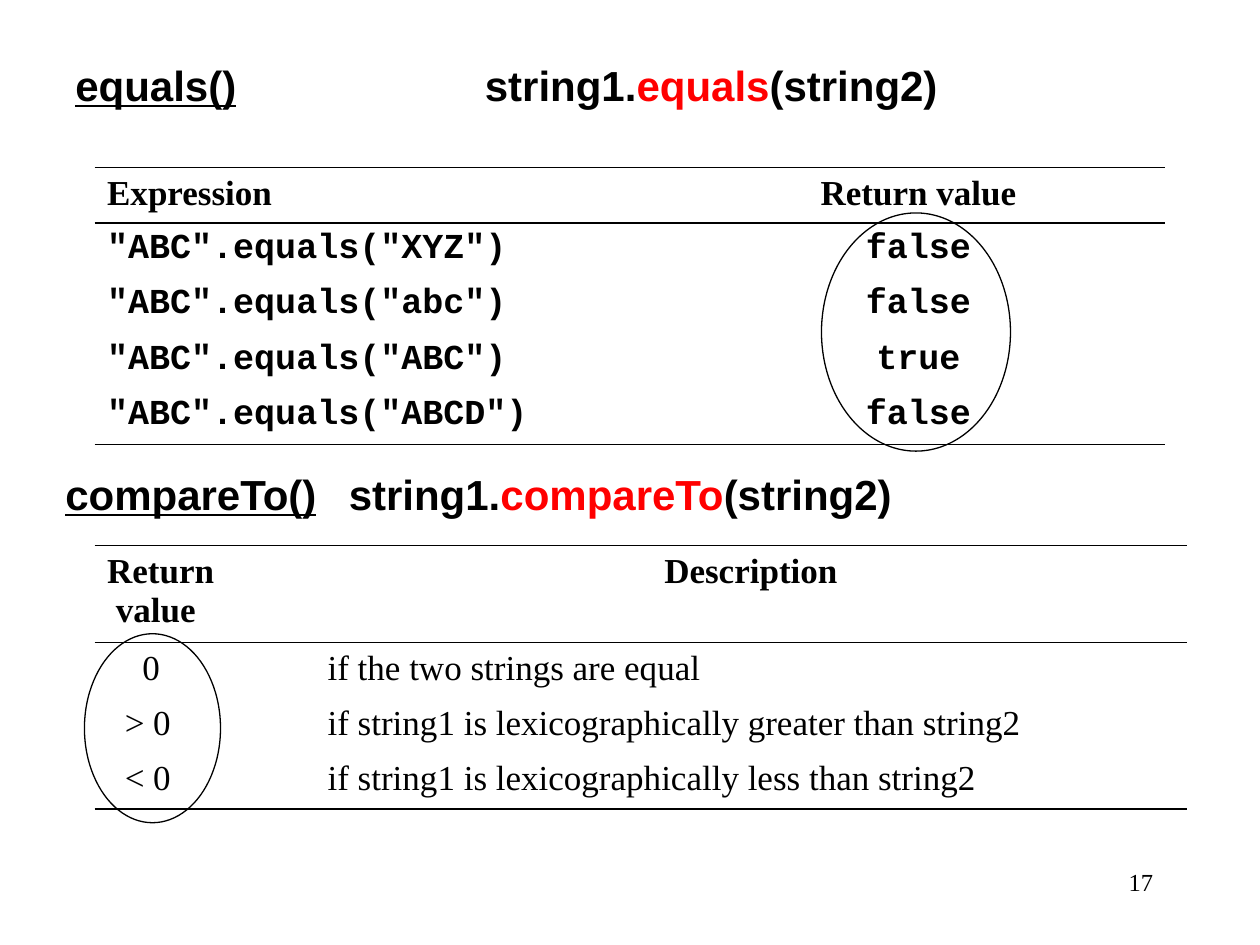
from lxml import etree
from pptx import Presentation
from pptx.dml.color import RGBColor
from pptx.enum.shapes import MSO_SHAPE
from pptx.enum.text import PP_ALIGN
from pptx.oxml.ns import qn
from pptx.util import Inches, Pt

LEFT, CENTER, RIGHT = PP_ALIGN.LEFT, PP_ALIGN.CENTER, PP_ALIGN.RIGHT
OVAL = MSO_SHAPE.OVAL
COLORS = {"ink": "000000", "method": "FF0000"}
SERIF, SANS, MONO = "Times New Roman", "Arial", "Courier New"
ROW_HEIGHT = 0.44


def color(name):
    return RGBColor.from_string(COLORS[name])


def add_span(para, text, font=SERIF, size=20, bold=False, underline=False, ink="ink"):
    span = para.add_run()
    span.text = text
    span.font.name = font
    span.font.size = Pt(size)
    span.font.bold = bold
    span.font.underline = underline
    span.font.color.rgb = color(ink)


def add_box(page, left, top, width, height):
    """Add a wrapping text box and return its first paragraph."""
    box = page.shapes.add_textbox(Inches(left), Inches(top), Inches(width), Inches(height))
    box.text_frame.word_wrap = True
    return box.text_frame.paragraphs[0]


def add_heading(page, left, top, method, tab):
    """Add a method name and, at the tab stop, an example of its call."""
    para = add_box(page, left, top, 9, 0.5)
    stops = etree.SubElement(para._p.get_or_add_pPr(), qn("a:tabLst"))
    etree.SubElement(stops, qn("a:tab"), pos=str(Inches(tab)), algn="l")
    style = {"font": SANS, "size": 24, "bold": True}
    add_span(para, f"{method}()", underline=True, **style)
    add_span(para, "\tstring1.", **style)
    add_span(para, method, ink="method", **style)
    add_span(para, "(string2)", **style)


def set_borders(cell, ruled):
    """Rule the named sides of a cell and clear the others."""
    props = cell._tc.get_or_add_tcPr()
    for index, side in enumerate(("lnL", "lnR", "lnT", "lnB")):
        line = etree.Element(qn(f"a:{side}"), w=str(Pt(0.96)))
        if side in ruled:
            fill = etree.SubElement(line, qn("a:solidFill"))
            etree.SubElement(fill, qn("a:srgbClr"), val=COLORS["ink"])
        else:
            etree.SubElement(line, qn("a:noFill"))
        props.insert(index, line)


def fill_cell(cell, text, align=LEFT, indents=(0,), **style):
    """Write one paragraph per line of text, each with its own indent."""
    cell.fill.background()
    frame = cell.text_frame
    for index, (words, indent) in enumerate(zip(text.split("\n"), indents)):
        para = frame.add_paragraph() if index else frame.paragraphs[0]
        para.alignment = align
        para._p.get_or_add_pPr().set("marL", str(Inches(indent)))
        add_span(para, words, **style)


def add_ruled_table(page, top, widths, header_height, rows):
    """Add a table ruled above and below its header and at its foot.

    Each cell is a pair of its text and the keyword arguments for fill_cell.
    """
    heights = [header_height] + [ROW_HEIGHT] * (len(rows) - 1)
    table = page.shapes.add_table(
        len(rows), len(widths), Inches(0.75), Inches(top),
        Inches(sum(widths)), Inches(sum(heights))).table
    table.first_row = table.horz_banding = False
    for column, width in zip(table.columns, widths):
        column.width = Inches(width)
    for r, (cells, height) in enumerate(zip(rows, heights)):
        table.rows[r].height = Inches(height)
        ruled = [side for side, wanted in (("lnT", r < 2), ("lnB", r in (0, len(rows) - 1)))
                 if wanted]
        for c, (text, style) in enumerate(cells):
            fill_cell(table.cell(r, c), text, **style)
            set_borders(table.cell(r, c), ruled)


def add_ring(page, left, top, width, height):
    ring = page.shapes.add_shape(
        OVAL, Inches(left), Inches(top), Inches(width), Inches(height))
    ring.shadow.inherit = False
    ring.fill.background()
    ring.line.color.rgb = color("ink")
    ring.line.width = Pt(0.75)


def main():
    deck = Presentation()
    deck.slide_width, deck.slide_height = Inches(10), Inches(7.5)
    page = deck.slides.add_slide(deck.slide_layouts[6])

    number = add_box(page, 7.17, 6.83, 2.08, 0.5)
    number.alignment = RIGHT
    add_span(number, "17", size=14)

    head = {"bold": True}
    code = {"font": MONO, "bold": True}
    centered = {"align": CENTER}

    add_heading(page, 0.5, 0.42, "equals", 3.25)
    results = [("XYZ", "false"), ("abc", "false"), ("ABC", "true"), ("ABCD", "false")]
    equals_rows = [[("Expression", head), ("Return value", head | centered)]]
    equals_rows += [[(f'"ABC".equals("{other}")', code), (result, code | centered)]
                    for other, result in results]
    add_ruled_table(page, 1.33, (4.58, 3.92), ROW_HEIGHT, equals_rows)

    meanings = [
        ("0", 0.28, "if the two strings are equal"),
        ("> 0", 0.14, "if string1 is lexicographically greater than string2"),
        ("< 0", 0.14, "if string1 is lexicographically less than string2"),
    ]
    compare_rows = [[("Return\nvalue", head | {"indents": (0, 0.07)}),
                     ("Description", head | centered)]]
    compare_rows += [[(value, {"indents": (indent,)}), (meaning, {})]
                     for value, indent, meaning in meanings]
    add_ruled_table(page, 4.33, (1.75, 6.92), 0.77, compare_rows)
    add_heading(page, 0.42, 3.67, "compareTo", 2.25)

    add_ring(page, 6.52, 1.69, 1.5, 1.89)
    add_ring(page, 0.67, 5.03, 1.08, 1.5)
    deck.save("out.pptx")


if __name__ == "__main__":
    main()
